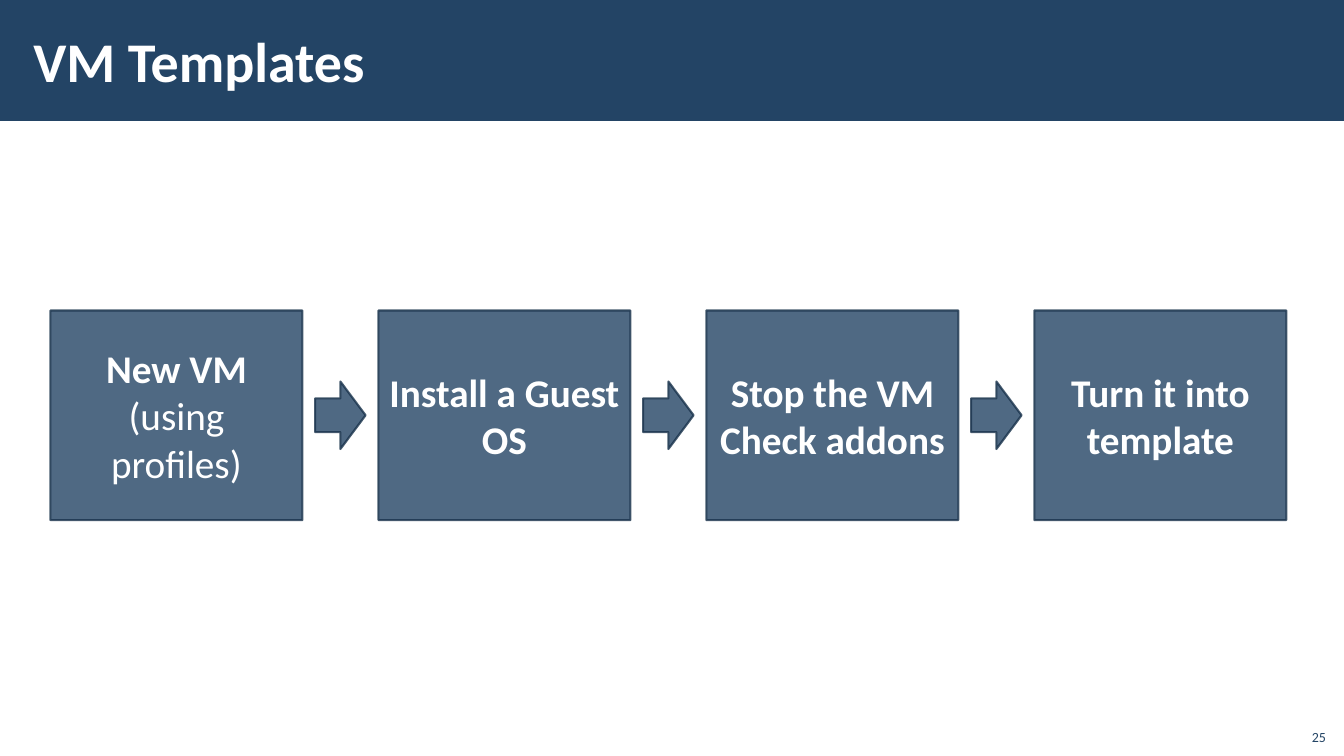
"""Build the VM Templates slide: a four-step process joined by arrows."""
from dataclasses import dataclass

from lxml.etree import SubElement
from pptx import Presentation
from pptx.dml.color import RGBColor
from pptx.enum.shapes import MSO_SHAPE
from pptx.enum.text import MSO_ANCHOR, PP_ALIGN
from pptx.oxml.ns import qn
from pptx.shapes.autoshape import Shape
from pptx.slide import Slide
from pptx.text.text import TextFrame
from pptx.util import Inches, Pt

NAVY = RGBColor(0x23, 0x44, 0x65)
DARK_NAVY = RGBColor(0x1A, 0x33, 0x4C)
WHITE = RGBColor(0xFF, 0xFF, 0xFF)
FONT = "Calibri"
OPACITY = 80

STEP_LEFT, STEP_TOP = 0.5, 3.08
STEP_WIDTH, STEP_HEIGHT = 2.5, 2.08
STEP_PITCH = 3.253
ARROW_WIDTH, ARROW_HEIGHT = 0.5, 0.67


@dataclass(frozen=True)
class Step:
    heading: str
    detail: str = ""
    detail_bold: bool = False


STEPS = [
    Step("New VM", "(using profiles)"),
    Step("Install a Guest OS"),
    Step("Stop the VM", "Check addons", detail_bold=True),
    Step("Turn it into template"),
]


def format_text(tf: TextFrame, size: float, color: RGBColor, align: PP_ALIGN,
                anchor: MSO_ANCHOR, bold: bool = False) -> None:
    tf.word_wrap = True
    tf.vertical_anchor = anchor
    for p in tf.paragraphs:
        p.alignment = align
        for r in p.runs:
            r.font.name = FONT
            r.font.size = Pt(size)
            r.font.bold = bold
            r.font.color.rgb = color


def add_filled(s: Slide, kind: MSO_SHAPE, left: float, top: float,
               width: float, height: float) -> Shape:
    sp = s.shapes.add_shape(kind, Inches(left), Inches(top), Inches(width), Inches(height))
    sp.shadow.inherit = False
    sp.fill.solid()
    sp.fill.fore_color.rgb = NAVY
    return sp


def style_process_shape(sp: Shape) -> None:
    sp.line.color.rgb = DARK_NAVY
    sp.line.width = Pt(1.5)
    for color in sp._element.spPr.iter(qn("a:srgbClr")):
        SubElement(color, qn("a:alpha"), val=str(OPACITY * 1000))


def add_header(s: Slide, title: str) -> None:
    band = add_filled(s, MSO_SHAPE.RECTANGLE, 0, 0, 13.34, 1.2)
    band.line.fill.background()
    sp = s.shapes.title
    sp._element.addprevious(band._element)
    sp.left, sp.top = Inches(0.21), Inches(0.11)
    sp.width, sp.height = Inches(10.63), Inches(0.97)
    tf = sp.text_frame
    tf.text = title
    tf.margin_left = tf.margin_right = Inches(0.12)
    tf.margin_top = tf.margin_bottom = Inches(0.04)
    format_text(tf, 40, WHITE, PP_ALIGN.LEFT, MSO_ANCHOR.MIDDLE, bold=True)


def add_step(s: Slide, step: Step, left: float) -> None:
    sp = add_filled(s, MSO_SHAPE.RECTANGLE, left, STEP_TOP, STEP_WIDTH, STEP_HEIGHT)
    style_process_shape(sp)
    tf = sp.text_frame
    tf.text = "\n".join(filter(None, (step.heading, step.detail)))
    format_text(tf, 28, WHITE, PP_ALIGN.CENTER, MSO_ANCHOR.MIDDLE, bold=True)
    if step.detail:
        tf.paragraphs[1].runs[0].font.bold = step.detail_bold


def add_arrow(s: Slide, step_left: float) -> None:
    gap = STEP_PITCH - STEP_WIDTH
    left = step_left + STEP_WIDTH + (gap - ARROW_WIDTH) / 2
    top = STEP_TOP + (STEP_HEIGHT - ARROW_HEIGHT) / 2
    sp = add_filled(s, MSO_SHAPE.RIGHT_ARROW, left, top, ARROW_WIDTH, ARROW_HEIGHT)
    style_process_shape(sp)


def add_page_number(s: Slide, number: int) -> None:
    sp = s.shapes.add_textbox(Inches(12.85), Inches(7.12), Inches(0.4), Inches(0.32))
    sp.text_frame.text = str(number)
    format_text(sp.text_frame, 10, NAVY, PP_ALIGN.RIGHT, MSO_ANCHOR.BOTTOM)


def main() -> None:
    prs = Presentation()
    prs.slide_width, prs.slide_height = Inches(13.33), Inches(7.5)
    s = prs.slides.add_slide(prs.slide_layouts[5])
    add_header(s, "VM Templates")
    add_page_number(s, 25)
    lefts = [STEP_LEFT + i * STEP_PITCH for i in range(len(STEPS))]
    for step, left in zip(STEPS, lefts):
        add_step(s, step, left)
    for left in lefts[:-1]:
        add_arrow(s, left)
    prs.save("out.pptx")


if __name__ == "__main__":
    main()
